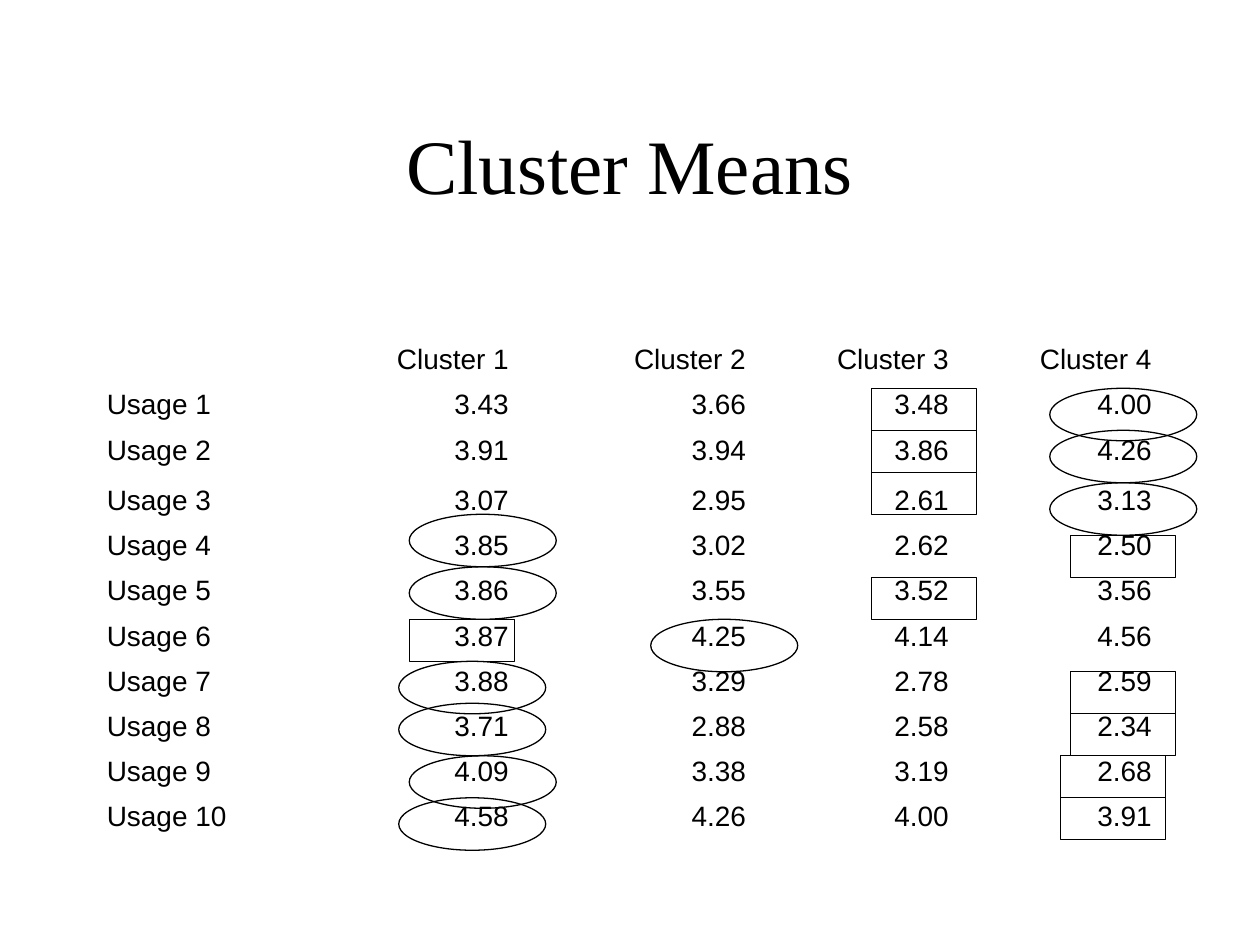
import pptx
import pptx.util
import pptx.dml.color
import pptx.enum.shapes
import pptx.enum.text

Cm = pptx.util.Cm
Pt = pptx.util.Pt
Align = pptx.enum.text.PP_ALIGN
Anchor = pptx.enum.text.MSO_ANCHOR
Kind = pptx.enum.shapes.MSO_SHAPE

COLORS = {"ink": "000000"}
STEP = 2.54 / 12
INDENT = 0.95

WIDTHS = [4.52, 4.09, 4.78, 4.09, 4.09]
HEIGHTS = [2.2, 0.91, 0.91, 1.02] + [0.91] * 7

MEANS = [
    ["3.43", "3.66", "3.48", "4.00"],
    ["3.91", "3.94", "3.86", "4.26"],
    ["3.07", "2.95", "2.61", "3.13"],
    ["3.85", "3.02", "2.62", "2.50"],
    ["3.86", "3.55", "3.52", "3.56"],
    ["3.87", "4.25", "4.14", "4.56"],
    ["3.88", "3.29", "2.78", "2.59"],
    ["3.71", "2.88", "2.58", "2.34"],
    ["4.09", "3.38", "3.19", "2.68"],
    ["4.58", "4.26", "4.00", "3.91"],
]

OVALS = {91: [11, 15, 20], 30: [23, 28, 46], 53: [33], 29: [37, 41, 50]}
BOXES = {74: [11, 15, 19, 29], 93: [25, 38, 42], 30: [33], 92: [46, 50]}


def ink():
    return pptx.dml.color.RGBColor.from_string(COLORS["ink"])


def write(para, text, font, size, align):
    para.alignment = align
    run = para.add_run()
    run.text = text
    run.font.name = font
    run.font.size = Pt(size)
    run.font.bold = False
    run.font.color.rgb = ink()


def add_title(slide, left, top, width, height):
    title = slide.shapes.title
    title.left, title.top = Cm(left), Cm(top)
    title.width, title.height = Cm(width), Cm(height)
    frame = title.text_frame
    frame.vertical_anchor = Anchor.MIDDLE
    write(frame.paragraphs[0], "Cluster Means", "Times New Roman", 44, Align.CENTER)


def add_means(slide, left, top):
    rows = [[""] + [f"Cluster {n}" for n in range(1, 5)]]
    rows += [[f"Usage {n}"] + means for n, means in enumerate(MEANS, 1)]
    table = slide.shapes.add_table(
        len(rows), len(WIDTHS), Cm(left), Cm(top),
        Cm(sum(WIDTHS)), Cm(sum(HEIGHTS))).table
    table.first_row = False
    table.horz_banding = False
    for col, width in zip(table.columns, WIDTHS):
        col.width = Cm(width)
    for row, height, texts in zip(table.rows, HEIGHTS, rows):
        row.height = Cm(height)
        for index, (cell, text) in enumerate(zip(row.cells, texts)):
            cell.fill.background()
            cell.vertical_anchor = Anchor.BOTTOM
            if not text:
                continue
            para = cell.text_frame.paragraphs[0]
            write(para, text, "Arial", 16, Align.RIGHT if index else Align.LEFT)
            props = para._p.get_or_add_pPr()
            props.set("marL", str(Cm(INDENT)))
            props.set("indent", str(-Cm(INDENT)))


def add_marks(slide, left, top, kind, spots, wide, high):
    for col, rows in spots.items():
        for row in rows:
            mark = slide.shapes.add_shape(
                kind, Cm(left + col * STEP), Cm(top + row * STEP),
                Cm(wide * STEP), Cm(high * STEP))
            mark.shadow.inherit = False
            mark.fill.background()
            mark.line.color.rgb = ink()
            mark.line.width = Pt(0.75)


def main():
    deck = pptx.Presentation()
    deck.slide_width, deck.slide_height = Cm(25.4), Cm(19.05)
    slide = deck.slides.add_slide(deck.slide_layouts[5])
    left, top = 1.9, 5.5
    add_title(slide, left, 1.7, 21.59, 3.18)
    add_means(slide, left, top)
    add_marks(slide, left, top, Kind.OVAL, OVALS, 14, 5)
    add_marks(slide, left, top, Kind.RECTANGLE, BOXES, 10, 4)
    deck.save("out.pptx")


if __name__ == "__main__":
    main()
